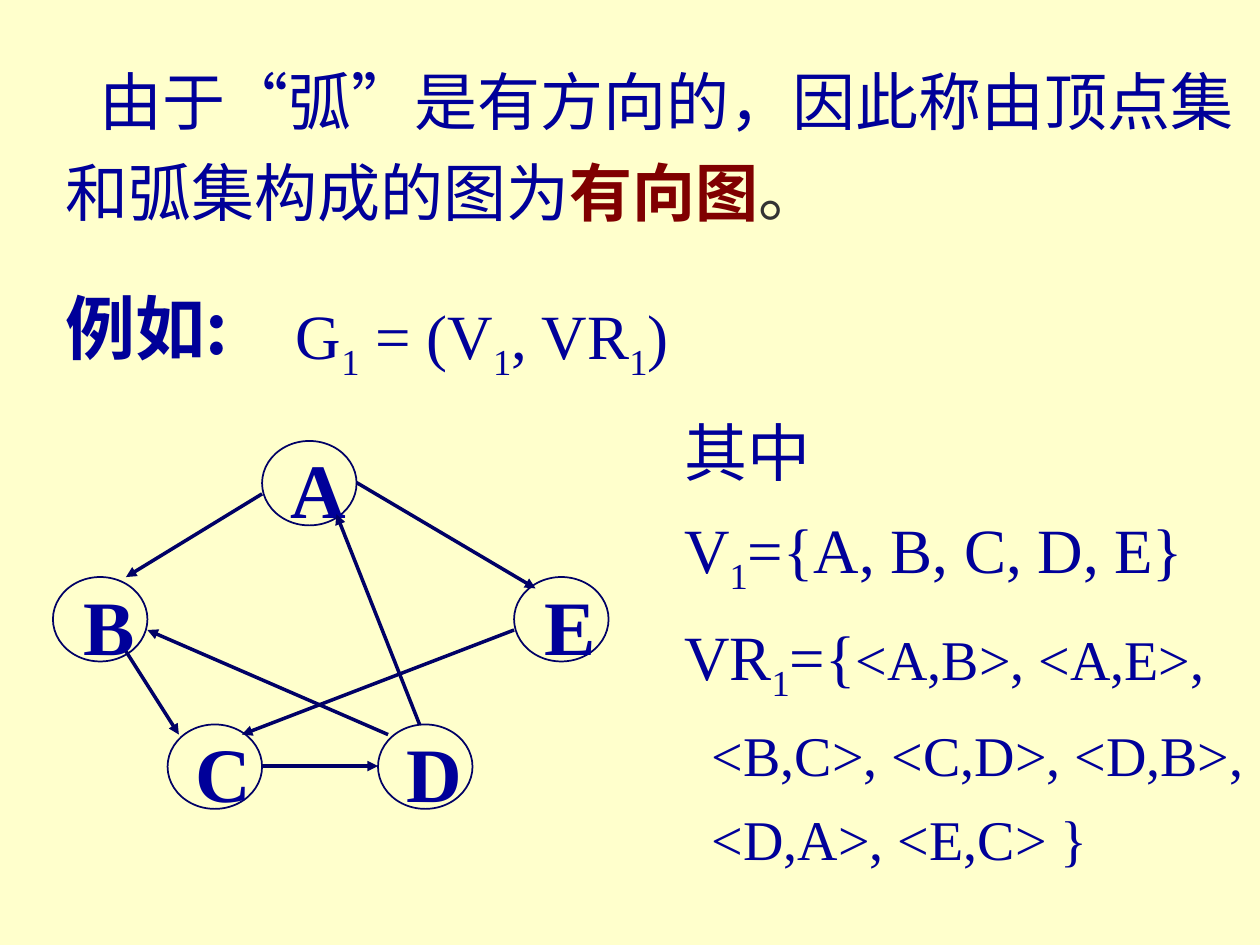
from pptx import Presentation
from pptx.dml.color import RGBColor as Rgb
from pptx.enum.shapes import MSO_CONNECTOR as Conn, MSO_SHAPE as Kind
from pptx.enum.text import MSO_ANCHOR as Anchor, MSO_AUTO_SIZE as Fit, PP_ALIGN as Align
from pptx.oxml.ns import qn
from pptx.util import Inches, Pt
from lxml.etree import SubElement as Sub

HUES = {"page": "FFFFCC", "text": "000099", "line": "000066", "key": "800000", "dark": "333333"}
SANS, TIMES = "Noto Sans CJK SC", "Times New Roman"
WIDE, HIGH = 0.75, 0.67
NODES = {"A": (2.08, 3.5), "B": (0.42, 4.58), "C": (1.33, 5.75), "D": (3, 5.75), "E": (4.08, 4.58)}
ARCS = [
    (2.08, 3.92, 1, 4.58),
    (1, 5.17, 1.42, 5.83),
    (2.08, 6.08, 3, 6.08),
    (3.33, 5.75, 2.67, 4.08),
    (2.83, 3.83, 4.25, 4.67),
    (3.08, 5.83, 1.17, 5),
    (4.08, 5, 1.92, 5.83),
]


def hue(name):
    return Rgb.from_string(HUES[name])


def add_run(para, text, size=36, face=TIMES, tint="text", bold=False, sub=False):
    run = para.add_run()
    run.text = text
    font = run.font
    font.size, font.name, font.bold = Pt(size), face, bold
    font.color.rgb = hue(tint)
    props = font._element
    Sub(props, qn("a:ea")).set("typeface", face)
    if sub:
        props.set("baseline", "-25000")


def add_math(para, text):
    for i, part in enumerate(text.split("_")):
        if i:
            add_run(para, part[0], sub=True)
            part = part[1:]
        add_run(para, part)


def set_para(para, space, inset=0, first=0):
    para.alignment = Align.LEFT
    para.line_spacing = space
    para.space_before = Pt(0)
    props = para._p.get_or_add_pPr()
    props.set("marL", str(Inches(inset)))
    props.set("indent", str(Inches(first)))
    Sub(props, qn("a:buNone"))
    return para


def place(shape, left, top, width, height):
    shape.left, shape.top = Inches(left), Inches(top)
    shape.width, shape.height = Inches(width), Inches(height)
    frame = shape.text_frame
    frame.word_wrap = True
    frame.auto_size = Fit.NONE
    frame.vertical_anchor = Anchor.TOP
    return frame


def add_box(slide, left, top, width, height):
    box = slide.shapes.add_textbox(0, 0, 0, 0)
    return set_para(place(box, left, top, width, height).paragraphs[0], 1.2)


def add_node(slide, name, left, top):
    node = slide.shapes.add_shape(Kind.OVAL, Inches(left), Inches(top), Inches(WIDE), Inches(HIGH))
    node.shadow.inherit = False
    node.fill.background()
    node.line.color.rgb = hue("line")
    node.line.width = Pt(1)
    frame = node.text_frame
    frame.word_wrap = False
    frame.vertical_anchor = Anchor.MIDDLE
    frame.margin_left, frame.margin_top = Inches(0.14), Inches(0.08)
    frame.margin_right = frame.margin_bottom = 0
    para = frame.paragraphs[0]
    para.alignment = Align.CENTER
    add_run(para, name, 44, bold=True)


def add_arc(slide, *ends):
    arc = slide.shapes.add_connector(Conn.STRAIGHT, *map(Inches, ends))
    arc.line.color.rgb = hue("line")
    arc.line.width = Pt(2)
    Sub(arc.line._get_or_add_ln(), qn("a:tailEnd")).set("type", "triangle")
    Sub(arc._element.spPr, qn("a:effectLst"))


def fill_title(shape):
    frame = place(shape, 0.42, 0.33, 9.58, 1.62)
    para = set_para(frame.paragraphs[0], 1.2, first=0.27)
    add_run(para, "由于“弧”是有方向的，因此称由顶点集和弧集构成的图为", face=SANS)
    add_run(para, "有向图", face=SANS, tint="key", bold=True)
    add_run(para, "。", face=SANS, tint="dark")


def fill_body(shape):
    frame = place(shape, 5.33, 3.08, 4.67, 3.89)
    add_run(set_para(frame.paragraphs[0], 1.25), "其中", face=SANS)
    add_math(set_para(frame.add_paragraph(), 1.25), "V_1={A, B, C, D, E}")
    para = set_para(frame.add_paragraph(), 1.25)
    add_math(para, "VR_1={")
    add_run(para, "<A,B>, <A,E>,", 32)
    for text in ("<B,C>, <C,D>, <D,B>,", "<D,A>, <E,C> }"):
        add_run(set_para(frame.add_paragraph(), 1.25, inset=0.22), text, 32)


def main():
    deck = Presentation()
    deck.slide_width, deck.slide_height = Inches(10), Inches(7.5)
    slide = deck.slides.add_slide(deck.slide_layouts[1])
    back = slide.background.fill
    back.solid()
    back.fore_color.rgb = hue("page")
    fill_title(slide.shapes.title)
    fill_body(slide.placeholders[1])
    for name, spot in NODES.items():
        add_node(slide, name, *spot)
    for ends in ARCS:
        add_arc(slide, *ends)
    add_run(add_box(slide, 0.42, 2.08, 1.91, 0.9), "例如:", 40, SANS, bold=True)
    add_math(add_box(slide, 2.25, 2.17, 3.75, 0.92), "G_1 = (V_1, VR_1)")
    deck.save("out.pptx")


if __name__ == "__main__":
    main()
